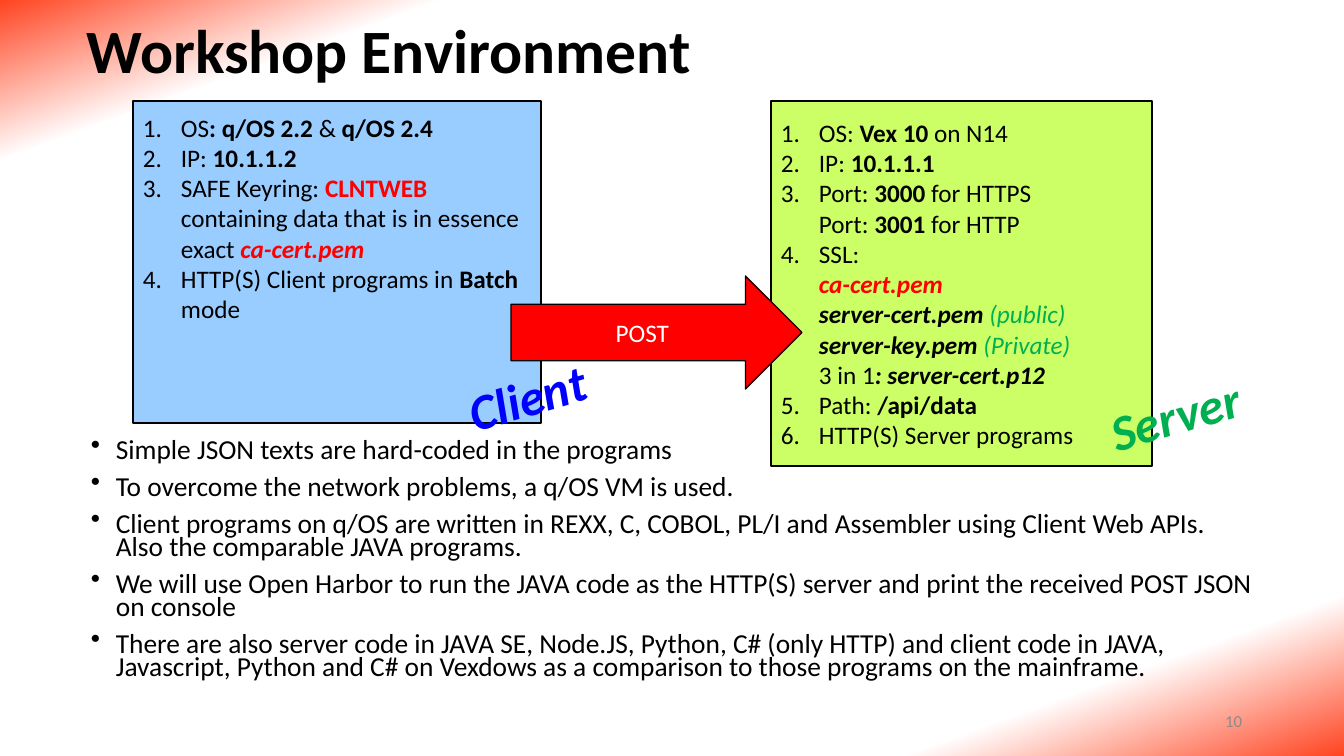
"""Build the Workshop Environment slide."""
from lxml import etree
from pptx import Presentation
from pptx.dml.color import RGBColor
from pptx.enum.shapes import MSO_SHAPE
from pptx.enum.text import MSO_ANCHOR, PP_ALIGN
from pptx.oxml.ns import qn
from pptx.util import Pt

RECT, ARROW = MSO_SHAPE.RECTANGLE, MSO_SHAPE.RIGHT_ARROW
TOP, MID = MSO_ANCHOR.TOP, MSO_ANCHOR.MIDDLE
LEFT, MIDDLE, RIGHT = PP_ALIGN.LEFT, PP_ALIGN.CENTER, PP_ALIGN.RIGHT
SCALE = 914400 / 100.8
BLACK, WHITE, RED, GREEN, BLUE = "000000", "FFFFFF", "FF0000", "00B050", "0000FF"
BOLD = {"bold": True}
SLANT = {"bold": True, "italic": True}
NUMBER = ("a:buAutoNum", {"type": "arabicPeriod"})
BULLET = ("a:buChar", {"char": "•"})


def hue(code):
    return RGBColor.from_string(code)


def write(shape, paras, size, color=BLACK, align=LEFT, anchor=TOP,
          mark=None, indent=0, style=None, format=None):
    frame = shape.text_frame
    frame.word_wrap = True
    frame.vertical_anchor = anchor
    for at, runs in enumerate(paras):
        para = frame.add_paragraph() if at else frame.paragraphs[0]
        para.alignment = align
        for key, value in (format or {}).items():
            setattr(para, key, value)
        if mark:
            props = para._p.get_or_add_pPr()
            props.set("marL", str(round(indent * SCALE)))
            props.set("indent", str(round(-indent * SCALE)))
            etree.SubElement(props, qn(mark[0]), mark[1])
        for text, look, *tint in runs:
            for row, part in enumerate(text.split("\n")):
                if row:
                    para.add_line_break()
                if not part:
                    continue
                run = para.add_run()
                run.text = part
                font = run.font
                font.color.rgb = hue(tint[0] if tint else color)
                values = {"name": "Calibri", "size": Pt(size)} | (style or {}) | look
                for key, value in values.items():
                    setattr(font, key, value)


prs = Presentation()
prs.slide_width, prs.slide_height = round(1344 * SCALE), round(756 * SCALE)
slide = prs.slides.add_slide(prs.slide_layouts[6])
shapes = slide.shapes

back = slide.background.fill
back.gradient()
back.gradient_angle = 290
stops = slide.element.find(".//" + qn("a:gsLst"))
for stop in list(stops):
    stops.remove(stop)
for pos, code in ((0, "FF4421"), (13, WHITE), (87, WHITE), (100, "FF4421")):
    stop = etree.SubElement(stops, qn("a:gs"), pos=str(pos * 1000))
    etree.SubElement(stop, qn("a:srgbClr"), val=code)

client = [
    [("OS", {}), (": q/OS 2.2 ", BOLD), ("& ", {}), ("q/OS 2.4", BOLD)],
    [("IP: ", {}), ("10.1.1.2", BOLD)],
    [("SAFE Keyring: ", {}), ("CLNTWEB ", BOLD, RED),
     ("containing data that is in essence exact ", {}), ("ca-cert.pem", SLANT, RED)],
    [("HTTP(S) Client programs in ", {}), ("Batch", BOLD), (" mode", {})],
]
server = [
    [("OS: ", {}), ("Vex 10 ", BOLD), ("on N14", {})],
    [("IP: ", {}), ("10.1.1.1", BOLD)],
    [("Port: ", {}), ("3000", BOLD), (" for HTTPS\nPort: ", {}),
     ("3001", BOLD), (" for HTTP", {})],
    [("SSL:\n", {}), ("ca-cert.pem\n", SLANT, RED),
     ("server-cert.pem ", SLANT), ("(public)\n", {"italic": True}, GREEN),
     ("server-key.pem ", SLANT), ("(Private)\n", {"italic": True}, GREEN),
     ("3 in 1", {}), (": server-cert.p12", SLANT)],
    [("Path: ", {}), ("/api/data", BOLD)],
    [("HTTP(S) Server programs", {})],
]
notes = [
    "Simple JSON texts are hard-coded in the programs",
    "To overcome the network problems, a q/OS VM is used.",
    "Client programs on q/OS are written in REXX, C, COBOL, PL/I and Assembler "
    "using Client Web APIs. Also the comparable JAVA programs.",
    "We will use Open Harbor to run the JAVA code as the HTTP(S) server and print "
    "the received POST JSON on console",
    "There are also server code in JAVA SE, Node.JS, Python, C# (only HTTP) and "
    "client code in JAVA, Javascript, Python and C# on Vexdows as a comparison to "
    "those programs on the mainframe.",
]

plain = [
    ((77, 6, 1159, 95), 0, [[("Workshop Environment", {})]],
     dict(size=44, anchor=MID, style=BOLD, format={"line_spacing": 0.9})),
    ((81, 436, 1183, 258), 0, [[(note, {})] for note in notes],
     dict(size=19.6, mark=BULLET, indent=25,
          format={"line_spacing": 0.7, "space_before": Pt(10)})),
    ((950, 701, 302, 40), 0, [[("10", {})]],
     dict(size=12, color="8C8C8C", align=RIGHT, anchor=MID)),
]
solid = [
    (RECT, (133, 101, 408, 322), "99CCFF", client,
     dict(size=18, mark=NUMBER, indent=38)),
    (RECT, (771, 101, 381, 365), "CCFF66", server,
     dict(size=18, anchor=MID, mark=NUMBER, indent=38)),
    (ARROW, (511, 276, 291, 113), RED, [[("POST", {})]],
     dict(size=18, color=WHITE, align=MIDDLE, anchor=MID)),
]
labels = [
    ((x, y, 169, 72), 343.7, [[(word, {})]], dict(size=36, color=code, style=SLANT))
    for word, x, y, code in (("Client", 457, 357, BLUE), ("Server", 1099, 377, GREEN))
]

for group in (plain, solid, labels):
    for first, second, *rest in group:
        if group is solid:
            fill, paras, look = rest
            shape = shapes.add_shape(first, *(round(n * SCALE) for n in second))
            shape.shadow.inherit = False
            shape.fill.solid()
            shape.fill.fore_color.rgb = hue(fill)
            shape.line.color.rgb = hue(BLACK)
            shape.line.width = Pt(1)
            shape.text_frame.margin_top = round((11 if paras is client else 5) * SCALE)
        else:
            paras, look = rest
            shape = shapes.add_textbox(*(round(n * SCALE) for n in first))
            shape.rotation = second
        write(shape, paras, **look)

prs.save("out.pptx")
